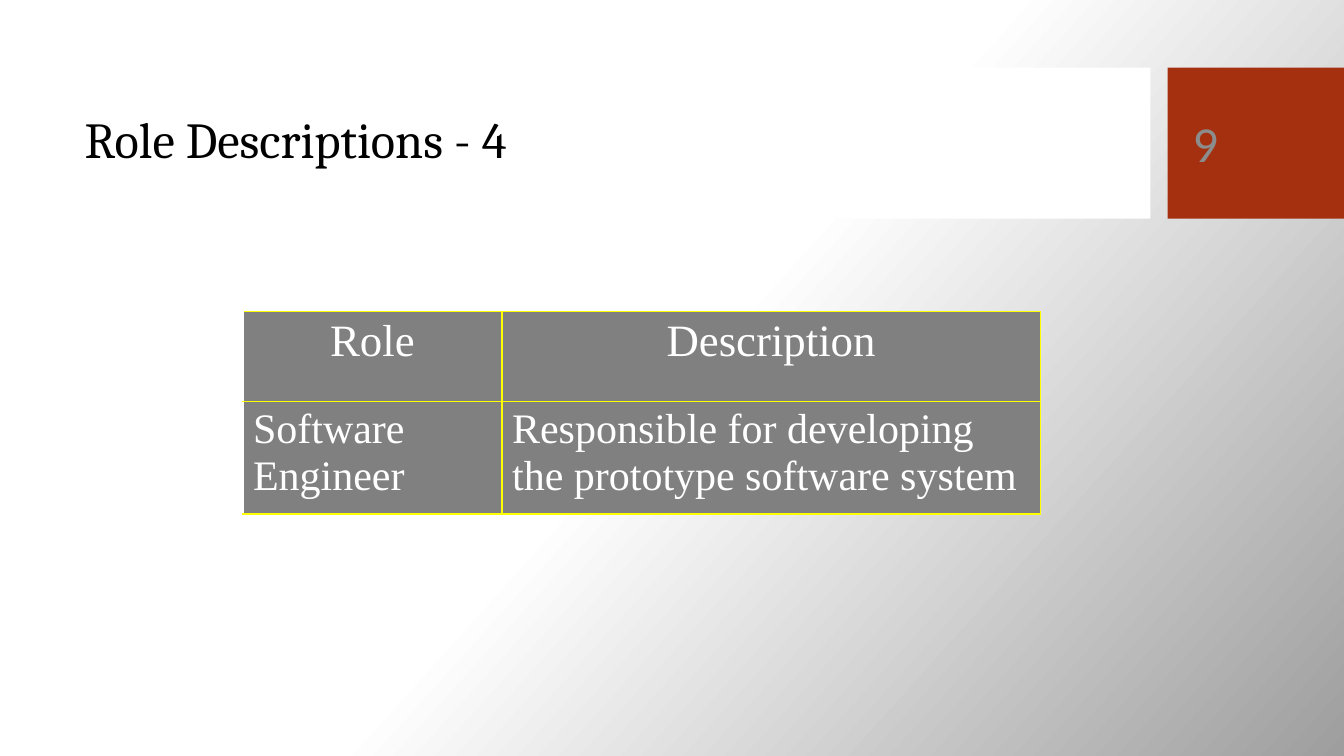
from lxml.etree import SubElement
from pptx import Presentation
from pptx.dml.color import RGBColor
from pptx.enum.shapes import MSO_SHAPE as Preset
from pptx.enum.text import MSO_ANCHOR as Anchor, PP_ALIGN as Align
from pptx.oxml.ns import qn
from pptx.util import Inches, Pt

WHITE, RUST, GREY, YELLOW = "FFFFFF", "A5300F", "808080", "FFFF00"


def color(value):
    return RGBColor.from_string(value)


class RoleSlide:
    """Holds the style and the current slide, and adds each kind of element."""

    text_formats = {
        "title": {"name": "Cambria", "size": Pt(36), "color": "000000"},
        "number": {"name": "Calibri", "size": Pt(36), "color": "8C8C8C"},
        "header": {"name": "Times New Roman", "size": Pt(32), "color": WHITE},
        "body": {"name": "Times New Roman", "size": Pt(30), "color": WHITE},
    }

    def __init__(self, presentation):
        self.slide = presentation.slides.add_slide(presentation.slide_layouts[5])

    def background(self, start, end, angle):
        fill = self.slide.background.fill
        fill.gradient()
        fill.gradient_angle = angle
        for stop, value, position in zip(fill.gradient_stops, (start, end), (0.5, 1)):
            stop.color.rgb = color(value)
            stop.position = position

    def add_text(self, frame, text, style, align=Align.LEFT, anchor=Anchor.MIDDLE):
        frame.word_wrap = True
        frame.vertical_anchor = anchor
        paragraph = frame.paragraphs[0]
        paragraph.alignment = align
        run = paragraph.add_run()
        run.text = text
        for name, value in self.text_formats[style].items():
            if name == "color":
                run.font.color.rgb = color(value)
            else:
                setattr(run.font, name, value)
        return paragraph

    def band(self, left, width, fill):
        shape = self.slide.shapes.add_shape(
            Preset.RECTANGLE, Inches(left), Inches(0.67), Inches(width), Inches(1.5))
        shape.shadow.inherit = False
        shape.fill.solid()
        shape.fill.fore_color.rgb = color(fill)
        shape.line.fill.background()

    def title(self, text, left, top, width, height):
        shape = self.slide.shapes.title
        place = {"left": left, "top": top, "width": width, "height": height}
        for name, value in place.items():
            setattr(shape, name, Inches(value))
        self.add_text(shape.text_frame, text, "title").line_spacing = 0.9
        shape.element.getparent().append(shape.element)

    def number(self, text, *place):
        shape = self.slide.shapes.add_textbox(*map(Inches, place))
        self.add_text(shape.text_frame, text, "number")

    def border(self, cell, sides):
        properties = cell._tc.get_or_add_tcPr()
        for side in sides:
            line = SubElement(properties, qn(f"a:ln{side}"), w=str(Pt(1)))
            fill = SubElement(line, qn("a:solidFill"))
            SubElement(fill, qn("a:srgbClr"), val=YELLOW)

    def table(self, rows, left, top, widths, heights):
        table = self.slide.shapes.add_table(
            len(rows), len(widths), Inches(left), Inches(top),
            Inches(sum(widths)), Inches(sum(heights))).table
        for column, width in zip(table.columns, widths):
            column.width = Inches(width)
        for row, height in zip(table.rows, heights):
            row.height = Inches(height)
        for row_index, texts in enumerate(rows):
            style, align = ("body", Align.LEFT) if row_index else ("header", Align.CENTER)
            for column_index, text in enumerate(texts):
                cell = table.cell(row_index, column_index)
                self.border(cell, "LRTB" if column_index else "RTB")
                cell.fill.solid()
                cell.fill.fore_color.rgb = color(GREY)
                cell.vertical_anchor = Anchor.TOP
                self.add_text(cell.text_frame, text, style, align, Anchor.TOP)


presentation = Presentation()
presentation.slide_width = Inches(13.33)
presentation.slide_height = Inches(7.5)

roles = RoleSlide(presentation)
roles.background(WHITE, "9E9E9E", 318)
roles.band(0, 11.41, WHITE)
roles.band(11.58, 1.75, RUST)
roles.title("Role Descriptions - 4", 0.74, 0.82, 10.51, 1.18)
roles.number("9", 11.73, 0.82, 1.26, 1.19)
roles.table(
    [
        ("Role", "Description"),
        ("Software Engineer", "Responsible for developing the prototype software system"),
    ],
    2.41, 3.09, (2.57, 5.34), (0.89, 1.12))

presentation.save("out.pptx")
